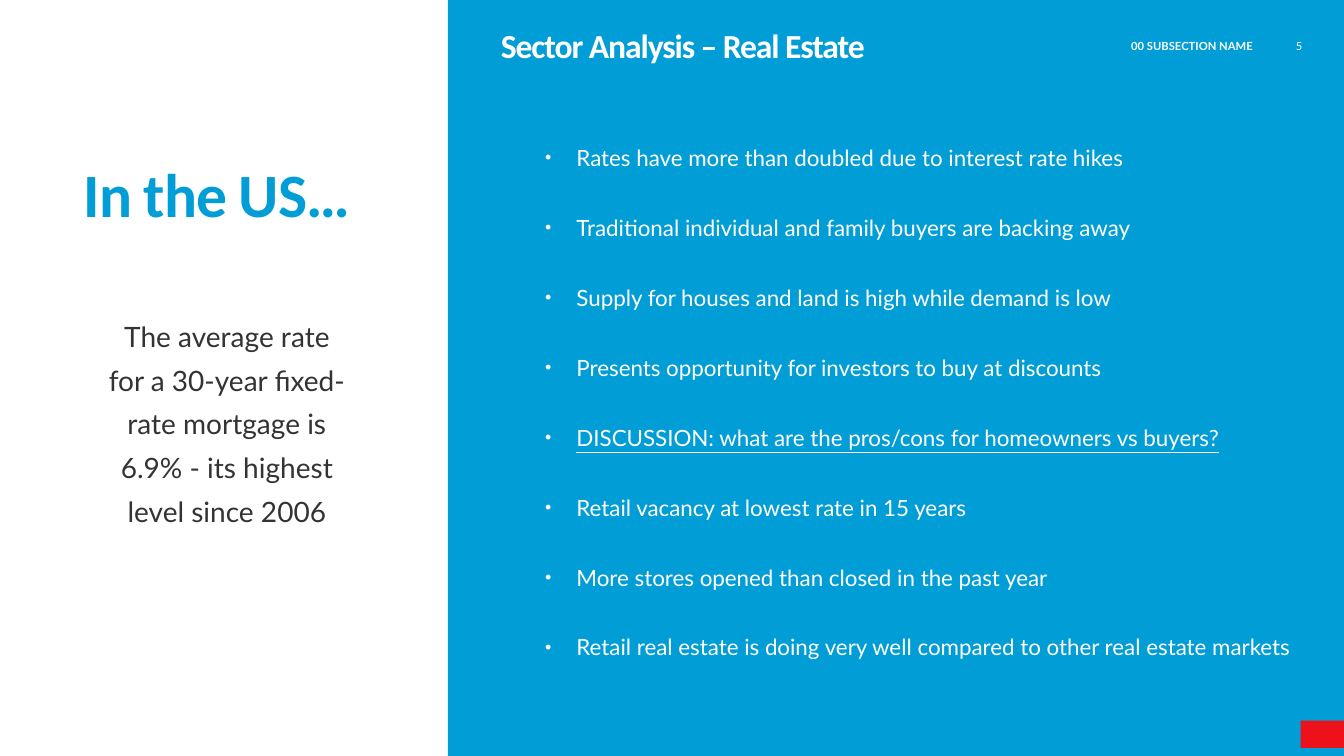
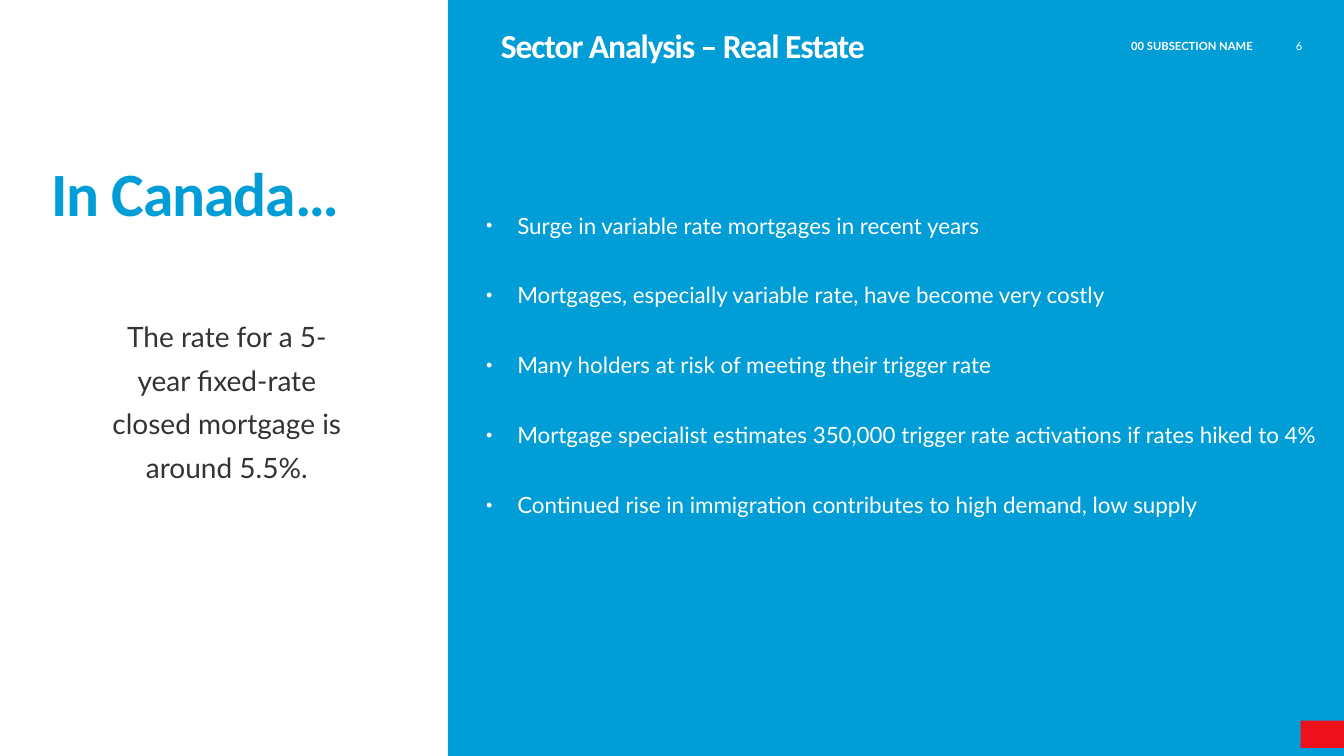
from pptx import Presentation
from pptx import util as u
from pptx.dml.color import RGBColor
from pptx.enum import shapes, text
from pptx.oxml import parse_xml
from pptx.oxml.ns import nsdecls

BLUE, RED, WHITE, GREY = "009DD6", "EC111A", "FFFFFF", "333333"
HEAD, BODY = "Calibri", "Lato"
LEFT, CENTER, RIGHT = text.PP_ALIGN.LEFT, text.PP_ALIGN.CENTER, text.PP_ALIGN.RIGHT
TOP, MIDDLE = text.MSO_ANCHOR.TOP, text.MSO_ANCHOR.MIDDLE

prs = Presentation()
prs.slide_width, prs.slide_height = u.Inches(13.33), u.Inches(7.5)
COL, ROW = prs.slide_width / 30, prs.slide_height / 30  # grid of 30 by 30


def grid(left, top, width, height):
    """Turn columns and rows into a position and size."""
    return [int(n * unit) for n, unit in zip((left, top, width, height), (COL, ROW) * 2)]


def write(sp, lines, size, color, font=BODY, bold=False, align=LEFT, anchor=TOP,
          spacing=1.0, tracking=0):
    """Fill a shape with paragraphs of one style and return them."""
    tf = sp.text_frame
    tf.word_wrap, tf.auto_size, tf.vertical_anchor = True, text.MSO_AUTO_SIZE.NONE, anchor
    tf.margin_left = tf.margin_top = tf.margin_right = tf.margin_bottom = 0
    tf.text = "\n".join(lines)
    for p in tf.paragraphs:
        p.alignment, p.line_spacing = align, spacing
        p.font.name, p.font.size, p.font.bold = font, u.Pt(size), bold
        p.font.color.rgb = RGBColor.from_string(color)
        if tracking:
            p._p.get_or_add_pPr().get_or_add_defRPr().set("spc", str(tracking))
    return tf.paragraphs


slides = [
    dict(number="5", heading="In the US…", heading_at=(1.87, 6.2),
         statement="The average rate for a 30-year fixed-rate mortgage is 6.9% - "
                   "its highest level since 2006",
         bullets_at=(12.17, 5.4, 16.88, 20.88),
         bullets=["Rates have more than doubled due to interest rate hikes",
                  "Traditional individual and family buyers are backing away",
                  "Supply for houses and land is high while demand is low",
                  "Presents opportunity for investors to buy at discounts",
                  "DISCUSSION: what are the pros/cons for homeowners vs buyers?",
                  "Retail vacancy at lowest rate in 15 years",
                  "More stores opened than closed in the past year",
                  "Retail real estate is doing very well compared to other real estate markets"]),
    dict(number="6", heading="In Canada…", heading_at=(1.15, 6.16),
         statement="The rate for a 5-year fixed-rate closed mortgage is around 5.5%.",
         bullets_at=(10.85, 8.08, 19.15, 12.48),
         bullets=["Surge in variable rate mortgages in recent years",
                  "Mortgages, especially variable rate, have become very costly",
                  "Many holders at risk of meeting their trigger rate",
                  "Mortgage specialist estimates 350,000 trigger rate activations "
                  "if rates hiked to 4%",
                  "Continued rise in immigration contributes to high demand, low supply"]),
]

for content in slides:
    s = prs.slides.add_slide(prs.slide_layouts[5])
    title = s.shapes.title

    # Blue panel over the right two thirds, and red page tab, both behind the title
    for at, color in (((10, 0, 20, 30), BLUE), ((29.03, 28.6, 0.97, 1.08), RED)):
        sp = s.shapes.add_shape(shapes.MSO_SHAPE.RECTANGLE, *grid(*at))
        sp.shadow.inherit = False
        sp.fill.solid()
        sp.fill.fore_color.rgb = RGBColor.from_string(color)
        sp.line.fill.background()
        title._element.addprevious(sp._element)

    # Title
    title.left, title.top, title.width, title.height = grid(11.18, 1, 14.65, 1.6)
    write(title, ["Sector Analysis – Real Estate"], 24, WHITE, HEAD, True, tracking=-80)

    # Section name and page number
    for at, label, bold in (((20.52, 1.44, 7.45, 0.76), "00 SUBSECTION NAME", True),
                            ((28.49, 1.44, 0.58, 0.76), content["number"], False)):
        write(s.shapes.add_textbox(*grid(*at)), [label], 8, WHITE, bold=bold,
              align=RIGHT, anchor=MIDDLE)

    # Country heading and key rate
    heading = s.shapes.add_textbox(*grid(*content["heading_at"], 8, 2.96))
    write(heading, [content["heading"]], 44, BLUE, HEAD, True, tracking=-80)
    statement = s.shapes.add_textbox(*grid(2.32, 12.28, 5.49, 8.6))
    write(statement, [content["statement"]], 20, GREY, align=CENTER, spacing=1.3)

    # Bullet points
    bullets = s.shapes.add_textbox(*grid(*content["bullets_at"]))
    for p in write(bullets, content["bullets"], 16, WHITE, spacing=1.3):
        p.space_after = u.Pt(25)
        p.font.underline = p.text.startswith("DISCUSSION")
        pPr = p._p.get_or_add_pPr()
        pPr.set("marL", str(u.Inches(0.31)))
        pPr.set("indent", str(-u.Inches(0.31)))
        for mark in (f'<a:buClr {nsdecls("a")}><a:srgbClr val="{WHITE}"/></a:buClr>',
                     f'<a:buSzPct {nsdecls("a")} val="80000"/>',
                     f'<a:buFont {nsdecls("a")} typeface="Arial"/>',
                     f'<a:buChar {nsdecls("a")} char="•"/>'):
            pPr.get_or_add_defRPr().addprevious(parse_xml(mark))

prs.save("out.pptx")
